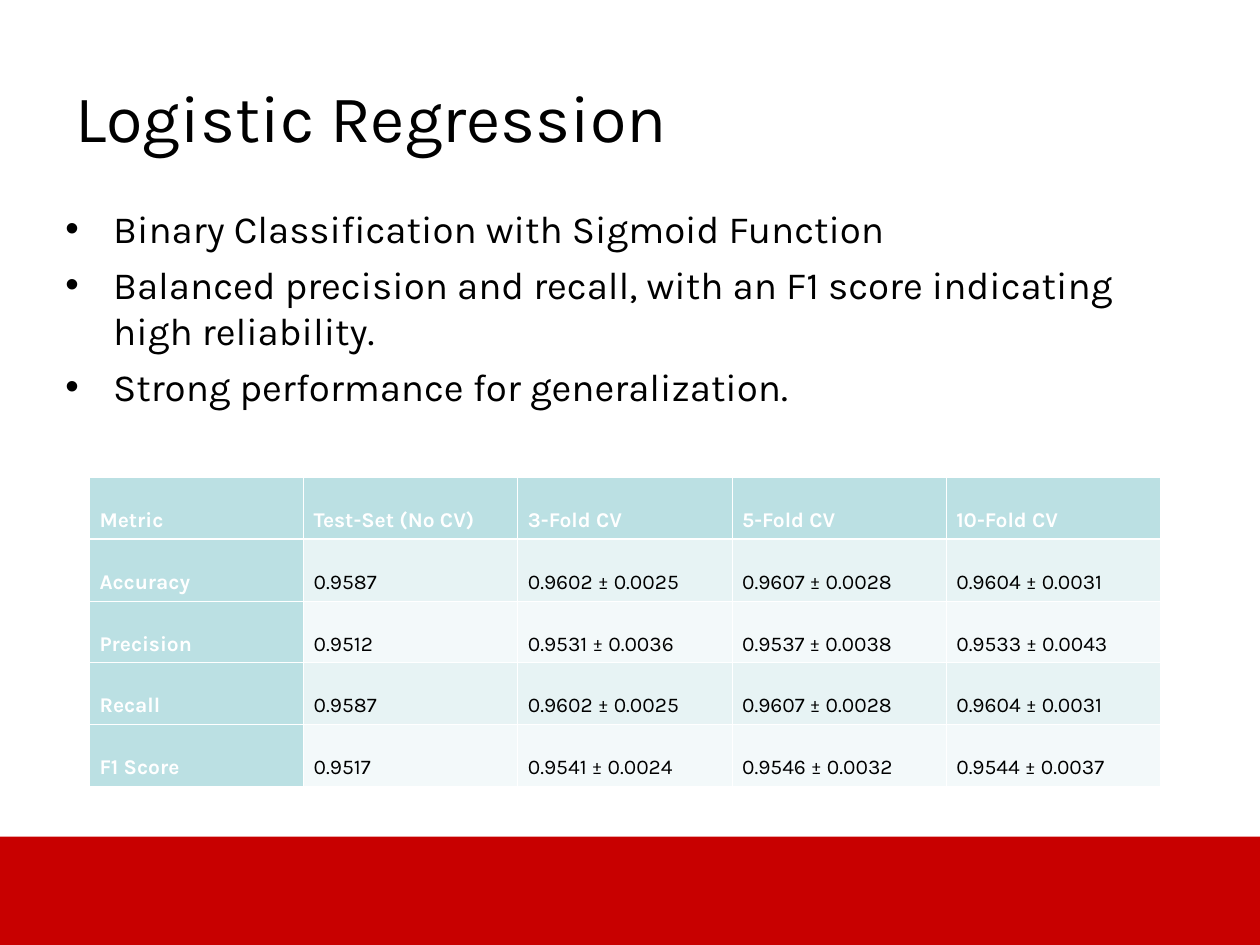
from lxml.etree import SubElement
from pptx import Presentation
from pptx.dml.color import RGBColor
from pptx.enum.shapes import MSO_SHAPE
from pptx.enum.text import MSO_ANCHOR, MSO_AUTO_SIZE, PP_ALIGN
from pptx.oxml.ns import qn
from pptx.util import Inches, Pt

BLACK = RGBColor(0x00, 0x00, 0x00)
WHITE = RGBColor(0xFF, 0xFF, 0xFF)
RED = RGBColor(0xC8, 0x00, 0x00)
TEAL = RGBColor(0xBB, 0xE0, 0xE3)
BANDS = RGBColor(0xF3, 0xF9, 0xFA), RGBColor(0xE7, 0xF3, 0xF4)

COLUMNS, ROWS = 100, 75
TITLE = "Logistic Regression"
POINTS = [
    "Binary Classification with Sigmoid Function",
    "Balanced precision and recall, with an F1 score indicating high reliability.",
    "Strong performance for generalization.",
]
SCORES = [
    ["Metric", "Test-Set (No CV)", "3-Fold CV", "5-Fold CV", "10-Fold CV"],
    ["Accuracy", "0.9587", "0.9602 ± 0.0025", "0.9607 ± 0.0028", "0.9604 ± 0.0031"],
    ["Precision", "0.9512", "0.9531 ± 0.0036", "0.9537 ± 0.0038", "0.9533 ± 0.0043"],
    ["Recall", "0.9587", "0.9602 ± 0.0025", "0.9607 ± 0.0028", "0.9604 ± 0.0031"],
    ["F1 Score", "0.9517", "0.9541 ± 0.0024", "0.9546 ± 0.0032", "0.9544 ± 0.0037"],
]


class SlideBuilder:
    """Places styled elements on one slide, measured in grid columns and rows."""

    font = "Karla"

    def __init__(self, deck):
        self.column = deck.slide_width / COLUMNS
        self.row = deck.slide_height / ROWS
        self.page = deck.slides.add_slide(deck.slide_layouts[5])

    def area(self, left, top, width, height):
        return (round(left * self.column), round(top * self.row),
                round(width * self.column), round(height * self.row))

    def style(self, para, size, color=BLACK, bold=False):
        for span in para.runs:
            span.font.name = self.font
            span.font.size = Pt(size)
            span.font.bold = bold
            span.font.color.rgb = color

    def bar(self, place, color):
        shape = self.page.shapes.add_shape(MSO_SHAPE.RECTANGLE, *self.area(*place))
        shape.shadow.inherit = False
        shape.fill.solid()
        shape.fill.fore_color.rgb = color
        shape.line.fill.background()

    def title(self, place, text):
        box = self.page.shapes.title
        box.left, box.top, box.width, box.height = self.area(*place)
        frame = box.text_frame
        frame.text = text
        frame.auto_size = MSO_AUTO_SIZE.NONE
        frame.vertical_anchor = MSO_ANCHOR.TOP
        frame.margin_left = frame.margin_top = Inches(0.1)
        para = frame.paragraphs[0]
        para.alignment = PP_ALIGN.LEFT
        self.style(para, 38)

    def bullets(self, place, lines):
        frame = self.page.shapes.add_textbox(*self.area(*place)).text_frame
        frame.word_wrap = True
        frame.text = "\n".join(lines)
        for index, para in enumerate(frame.paragraphs):
            props = para._p.get_or_add_pPr()
            props.set("marL", str(Inches(0.38)))
            props.set("indent", str(-Inches(0.38)))
            SubElement(props, qn("a:buFont"), typeface="Arial")
            SubElement(props, qn("a:buChar"), char="•")
            if index:
                para.space_before = Pt(5.5)
            self.style(para, 22)

    def border(self, cell, side, width):
        line = SubElement(cell._tc.get_or_add_tcPr(), qn(f"a:ln{side}"), w=str(Pt(width)))
        fill = SubElement(line, qn("a:solidFill"))
        SubElement(fill, qn("a:srgbClr"), val=str(WHITE))

    def table(self, place, records):
        grid = self.page.shapes.add_table(
            len(records), len(records[0]), *self.area(*place)).table
        grid.first_row = grid.horz_banding = False
        for row, record in enumerate(records):
            for column, text in enumerate(record):
                self.cell(grid.cell(row, column), text, row, column)

    def cell(self, cell, text, row, column):
        heading = row == 0 or column == 0
        heavy_side = {0: "B", 1: "T"}.get(row)
        for side in "LRTB":
            self.border(cell, side, 1.47 if side == heavy_side else 0.45)
        cell.fill.solid()
        cell.fill.fore_color.rgb = TEAL if heading else BANDS[row % 2]
        cell.margin_left = cell.margin_right = Inches(0.08)
        cell.text_frame.text = text
        para = cell.text_frame.paragraphs[0]
        para.alignment = PP_ALIGN.JUSTIFY
        para.line_spacing = 2.0
        self.style(para, 12, WHITE if heading else BLACK, heading)


def main():
    deck = Presentation()
    deck.slide_width, deck.slide_height = Inches(10), Inches(7.5)
    slide = SlideBuilder(deck)
    slide.bar((0, 66.4, COLUMNS, ROWS - 66.4), RED)
    slide.title((5, 5, 85, 12.5), TITLE)
    slide.table((7.1, 37.9, 85, 20), SCORES)
    slide.bullets((4.2, 15.8, 90.8, 49.2), POINTS)
    deck.save("out.pptx")


if __name__ == "__main__":
    main()
